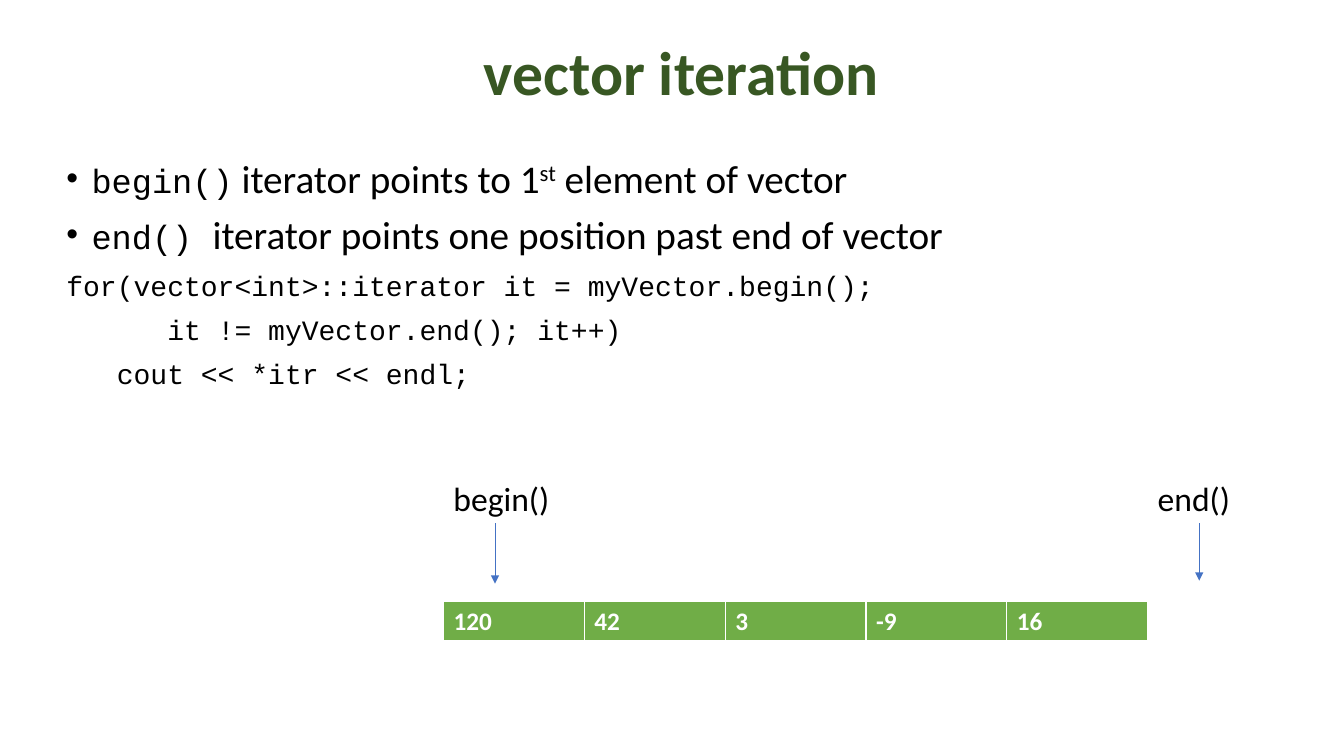
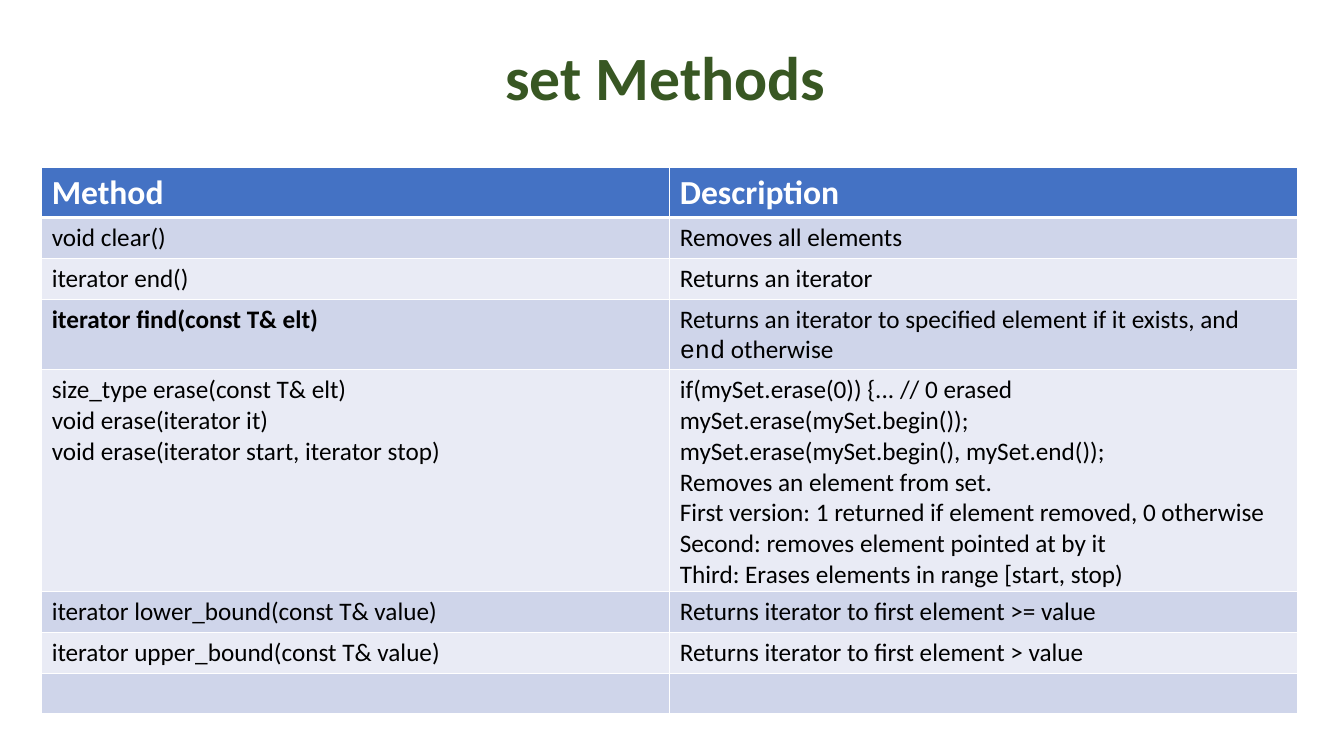
from lxml import etree
from pptx import Presentation
from pptx.dml.color import RGBColor
from pptx.enum.shapes import MSO_CONNECTOR
from pptx.enum.text import MSO_ANCHOR, PP_ALIGN
from pptx.oxml.ns import qn
from pptx.util import Inches, Pt

STRAIGHT = MSO_CONNECTOR.STRAIGHT
TOP, MIDDLE = MSO_ANCHOR.TOP, MSO_ANCHOR.MIDDLE
LEFT, CENTER = PP_ALIGN.LEFT, PP_ALIGN.CENTER
SANS, MONO = "Calibri", "Courier New"
COLORS = {
    "title": "385723", "text": "000000", "white": "FFFFFF", "blue": "4472C4",
    "green": "70AD47", "band": "CFD5EA", "pale": "E9EBF5",
}

BULLETS = [
    [("begin()", {"font": MONO, "size": 24}), "iterator points to 1",
     ("st", {"baseline": 30}), " element of vector"],
    [("end() ", {"font": MONO, "size": 24}),
     "iterator points one position past end of vector"],
]
BULLETS[0][1] = " " + BULLETS[0][1]
CODE = [
    "for(vector<int>::iterator it = myVector.begin();",
    "      it != myVector.end(); it++)",
    "   cout << *itr << endl;",
]
VALUES = ["120", "42", "3", "-9", "16"]
METHODS = [
    ["Method", "Description"],
    ["void clear()", "Removes all elements"],
    ["iterator end()", "Returns an iterator"],
    [[[("iterator find(const T& elt)", {"bold": True})]],
     [["Returns an iterator to specified element if it exists, and ",
       ("end", {"font": MONO}), " otherwise"]]],
    [["size_type erase(const T& elt)",
      "void erase(iterator it)",
      "void erase(iterator start, iterator stop)"],
     ["if(mySet.erase(0)) {... // 0 erased",
      "mySet.erase(mySet.begin());",
      "mySet.erase(mySet.begin(), mySet.end());",
      "Removes an element from set.",
      "First version: 1 returned if element removed, 0 otherwise",
      "Second: removes element pointed at by it",
      "Third: Erases elements in range [start, stop)"]],
    ["iterator lower_bound(const T& value)", "Returns iterator to first element >= value"],
    ["iterator upper_bound(const T& value)", "Returns iterator to first element > value"],
    ["", ""],
]


def rgb(name):
    """Return the named colour."""
    return RGBColor.from_string(COLORS[name])


def add_run(p, text, font=SANS, size=18, color="text", bold=False, baseline=0):
    """Add one formatted run to a paragraph."""
    r = p.add_run()
    r.text = text
    r.font.name, r.font.size, r.font.bold = font, Pt(size), bold
    r.font.color.rgb = rgb(color)
    if baseline:
        r._r.get_or_add_rPr().set("baseline", str(baseline * 1000))


def write(tf, paragraphs, align=LEFT, spacing=1.0, before=0, bullet=False, **fmt):
    """Append paragraphs, each a string or a list of runs, to a text frame."""
    for runs in [paragraphs] if isinstance(paragraphs, str) else paragraphs:
        first = not tf.paragraphs[0].runs
        p = tf.paragraphs[0] if first else tf.add_paragraph()
        p.alignment, p.line_spacing = align, spacing
        p.space_before = Pt(0 if first else before)
        if bullet:
            pPr = p._p.get_or_add_pPr()
            pPr.set("marL", str(Inches(0.25)))
            pPr.set("indent", str(-Inches(0.25)))
            etree.SubElement(pPr, qn("a:buFont"), typeface="Arial")
            etree.SubElement(pPr, qn("a:buChar"), char="•")
        for run in [runs] if isinstance(runs, str) else runs:
            text, extra = (run, {}) if isinstance(run, str) else run
            if text:
                add_run(p, text, **{**fmt, **extra})


def add_borders(cell, top, bottom):
    """Draw white borders round a table cell."""
    tcPr = cell._tc.get_or_add_tcPr()
    for side, width in zip("LRTB", (1, 1, top, bottom)):
        ln = etree.SubElement(tcPr, qn(f"a:ln{side}"), w=str(Pt(width)))
        fill = etree.SubElement(ln, qn("a:solidFill"))
        etree.SubElement(fill, qn("a:srgbClr"), val=COLORS["white"])


class Deck:
    """Hold the style and the current slide; lengths are percent of the slide."""

    def __init__(self):
        """Start a widescreen presentation."""
        self.prs = Presentation()
        self.prs.slide_width, self.prs.slide_height = Inches(13.33), Inches(7.5)

    def x(self, share):
        """Convert a share of the width."""
        return round(self.prs.slide_width * share / 100)

    def y(self, share):
        """Convert a share of the height."""
        return round(self.prs.slide_height * share / 100)

    def box(self, left, top, width, height):
        """Convert a rectangle of shares."""
        return self.x(left), self.y(top), self.x(width), self.y(height)

    def slide(self, title, *area):
        """Add a blank slide with a title."""
        self.s = self.prs.slides.add_slide(self.prs.slide_layouts[6])
        tf = self.text(*area, anchor=MIDDLE)
        write(tf, title, align=CENTER, spacing=0.9, size=44, color="title", bold=True)

    def text(self, *area, anchor=TOP):
        """Add an empty wrapping text box and return its frame."""
        tf = self.s.shapes.add_textbox(*self.box(*area)).text_frame
        tf.word_wrap, tf.vertical_anchor = True, anchor
        return tf

    def arrow(self, x, top, bottom):
        """Add a thin arrow pointing down."""
        sp = self.s.shapes.add_connector(
            STRAIGHT, self.x(x), self.y(top), self.x(x), self.y(bottom))
        sp.line.color.rgb, sp.line.width = rgb("blue"), Pt(0.5)
        etree.SubElement(sp.line._get_or_add_ln(), qn("a:tailEnd"), type="triangle")
        etree.SubElement(sp._element.spPr, qn("a:effectLst"))

    def table(self, rows, left, top, width, row_height, head, head_size):
        """Add a table with a header row and alternating bands."""
        area = self.box(left, top, width, row_height * len(rows))
        table = self.s.shapes.add_table(len(rows), len(rows[0]), *area).table
        for i, row in enumerate(rows):
            fill = head if i == 0 else ("pale", "band")[i % 2]
            fmt = {"size": head_size, "color": "white", "bold": True} if i == 0 else {}
            for j, content in enumerate(row):
                cell = table.cell(i, j)
                add_borders(cell, 3 if i == 1 else 1, 3 if i == 0 else 1)
                cell.fill.solid()
                cell.fill.fore_color.rgb = rgb(fill)
                write(cell.text_frame, content, **fmt)


def vector_slide(deck):
    """Build the slide on vector iteration."""
    deck.slide("vector iteration", 8.25, 2.4, 84.9, 15.07)
    body = deck.text(4.2, 20.4, 92, 74.9)
    write(body, BULLETS, spacing=0.9, before=10, bullet=True, size=28)
    write(body, CODE, spacing=0.9, before=10, font=MONO, size=20)
    left, width = 33, 52.4
    deck.table([VALUES], left, 79.6, width, 5.33, "green", 18)
    for label, x, tip in (("begin()", left, 77.2), ("end()", left + width, 76.8)):
        write(deck.text(x, 62.5, 9.3, 6.7), label, size=24)
        deck.arrow(x + 3.83, 69.2, tip)


def set_slide(deck):
    """Build the slide on set methods."""
    deck.slide("set Methods", 5.9, 2, 87.25, 17.2)
    deck.table(METHODS, 3.1, 22.1, 93.47, 5.4, "blue", 24)


def main():
    """Build and save the presentation."""
    deck = Deck()
    vector_slide(deck)
    set_slide(deck)
    deck.prs.save("out.pptx")


if __name__ == "__main__":
    main()
